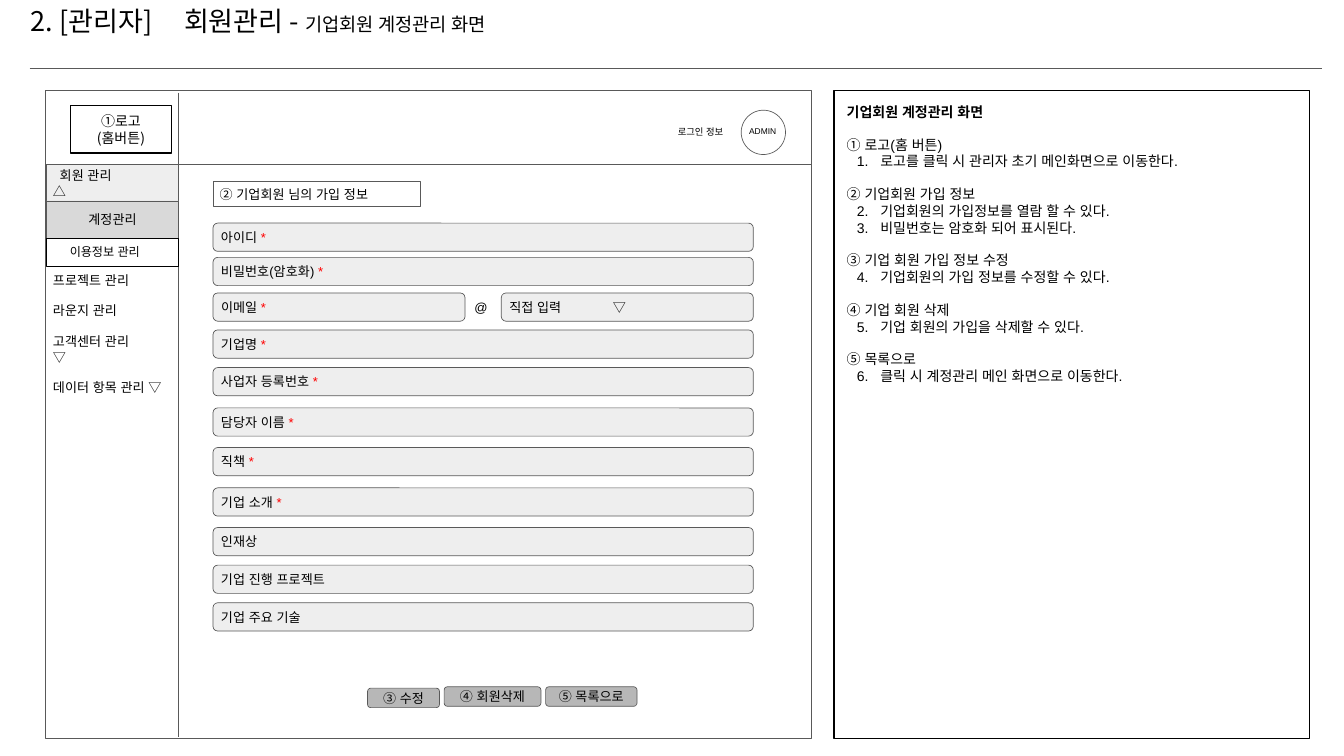
from dataclasses import dataclass

from lxml import etree
from pptx import Presentation
from pptx import util as u
from pptx.dml import color
from pptx.enum import shapes, text
from pptx.oxml import ns


@dataclass(frozen=True)
class Theme:
    ink: str = "000000"
    white: str = "FFFFFF"
    rule: str = "595959"
    required: str = "FF0000"
    field: str = "EEEEEE"
    active: str = "D9D9D9"
    button: str = "B7B7B7"
    sans: str = "Arial"
    korean: str = "Noto Sans CJK KR"
    title: int = 29
    subtitle: int = 20
    note: int = 15
    body: int = 14
    submenu: int = 13
    login: int = 10
    badge: int = 9


THEME = Theme()
RECT = shapes.MSO_SHAPE.RECTANGLE
ROUNDED = shapes.MSO_SHAPE.ROUNDED_RECTANGLE
OVAL = shapes.MSO_SHAPE.OVAL
MIDDLE = text.MSO_ANCHOR.MIDDLE
CENTER = text.PP_ALIGN.CENTER

FIELDS = [
    (3.32, "아이디", True), (3.83, "비밀번호(암호화)", True),
    (4.91, "기업명", True), (5.47, "사업자 등록번호", True),
    (6.07, "담당자 이름", True), (6.66, "직책", True),
    (7.26, "기업 소개", True), (7.85, "인재상", False),
    (8.41, "기업 진행 프로젝트", False), (8.97, "기업 주요 기술", False),
]
BUTTONS = [
    (5.47, 10.24, 1.07, "③ 수정"),
    (6.61, 10.22, 1.44, "④ 회원삭제"),
    (8.12, 10.22, 1.36, "⑤ 목록으로"),
]
NOTES = [
    ("① 로고(홈 버튼)", ["로고를 클릭 시 관리자 초기 메인화면으로 이동한다."]),
    ("② 기업회원 가입 정보", ["기업회원의 가입정보를 열람 할 수 있다.",
                      "비밀번호는 암호화 되어 표시된다."]),
    ("③ 기업 회원 가입 정보 수정", ["기업회원의 가입 정보를 수정할 수 있다."]),
    ("④ 기업 회원 삭제", ["기업 회원의 가입을 삭제할 수 있다."]),
    ("⑤ 목록으로", ["클릭 시 계정관리 메인 화면으로 이동한다."]),
]
MENU = ["프로젝트 관리", "라운지 관리", "고객센터 관리\v▽", "데이터 항목 관리 ▽"]


def rgb(value):
    return color.RGBColor.from_string(value)


def add_run(paragraph, content, size=THEME.body, font=THEME.sans, ink=THEME.ink, bold=False):
    for index, line in enumerate(content.split("\v")):
        if index:
            paragraph.add_line_break()
        run = paragraph.add_run()
        run.text = line
        run.font.size = u.Pt(size)
        run.font.bold = bold
        run.font.color.rgb = rgb(ink)
        run.font.name = font
        etree.SubElement(run.font._element, ns.qn("a:ea"), typeface=font)


def write(frame, content, align=text.PP_ALIGN.LEFT, before=0, indent=0, tab=None,
          number=None, **style):
    first = frame.paragraphs[0]
    paragraph = frame.add_paragraph() if first.runs else first
    paragraph.alignment = align
    properties = paragraph._p.get_or_add_pPr()
    if number:
        properties.set("marL", str(u.Inches(0.5)))
        properties.set("indent", str(u.Inches(-0.35)))
        etree.SubElement(properties, ns.qn("a:buAutoNum"), type="arabicPeriod", startAt=str(number))
    elif indent:
        properties.set("indent", str(u.Inches(indent)))
    if tab:
        stops = etree.SubElement(properties, ns.qn("a:tabLst"))
        etree.SubElement(stops, ns.qn("a:tab"), pos=str(u.Inches(tab)), algn="l")
    if before:
        paragraph.space_before = u.Pt(before)
    add_run(paragraph, content, **style)
    return paragraph


def set_frame(frame, inset=0.1, anchor=text.MSO_ANCHOR.TOP):
    frame.word_wrap = True
    frame.vertical_anchor = anchor
    frame.margin_left = frame.margin_right = u.Inches(inset)
    frame.margin_top = frame.margin_bottom = u.Inches(inset)
    return frame


def add_box(slide, kind, left, top, width, height, fill=None, line=THEME.rule,
            weight=0.75, inset=0.1, anchor=MIDDLE):
    box = slide.shapes.add_shape(kind, *map(u.Inches, (left, top, width, height)))
    box.shadow.inherit = False
    if fill:
        box.fill.solid()
        box.fill.fore_color.rgb = rgb(fill)
    else:
        box.fill.background()
    box.line.color.rgb = rgb(line)
    box.line.width = u.Pt(weight)
    return set_frame(box.text_frame, inset, anchor)


def add_label(slide, left, top, width, height, **frame):
    label = slide.shapes.add_textbox(*map(u.Inches, (left, top, width, height)))
    return set_frame(label.text_frame, **frame)


def add_rule(slide, x1, y1, x2, y2):
    rule = slide.shapes.add_connector(shapes.MSO_CONNECTOR.STRAIGHT,
                                      *map(u.Inches, (x1, y1, x2, y2)))
    rule.line.color.rgb = rgb(THEME.rule)
    rule.line.width = u.Pt(0.75)
    etree.SubElement(rule._element.spPr, ns.qn("a:effectLst"))


def add_field(slide, left, top, width, label, required=False, tab=None):
    field = add_box(slide, ROUNDED, left, top, width, 0.42, fill=THEME.field)
    paragraph = write(field, f"{label} " if required else label, tab=tab)
    if required:
        add_run(paragraph, "*", ink=THEME.required)


def add_title(slide):
    title = add_label(slide, 0, 0, 20, 0.62, inset=0, anchor=MIDDLE)
    title.margin_left = u.Inches(0.46)
    heading = write(title, "2. [관리자]\t회원관리 - ", tab=2.28,
                    size=THEME.title, font=THEME.korean)
    add_run(heading, "기업회원 계정관리 화면", size=THEME.subtitle, font=THEME.korean)
    add_rule(slide, 0.44, 1.01, 19.68, 1.01)


def add_notes_panel(slide):
    panel = add_box(slide, RECT, 12.41, 1.35, 7.08, 9.64, line=THEME.ink, weight=1.5,
                    inset=0.19, anchor=text.MSO_ANCHOR.TOP)
    write(panel, "기업회원 계정관리 화면", size=THEME.note, bold=True)
    number = 0
    for heading, details in NOTES:
        write(panel, heading, before=17, size=THEME.note)
        for detail in details:
            number += 1
            write(panel, detail, number=number, size=THEME.note)


def add_header(slide):
    home = add_box(slide, RECT, 1.05, 1.57, 1.5, 0.71, fill=THEME.white,
                   line=THEME.ink, weight=1.5, anchor=text.MSO_ANCHOR.TOP)
    for line in ("①로고", "(홈버튼)"):
        write(home, line, align=CENTER, size=THEME.note, font=THEME.korean)
    add_rule(slide, 2.65, 1.38, 2.65, 10.97)
    add_rule(slide, 0.67, 2.45, 12.09, 2.45)
    add_box(slide, OVAL, 11.03, 1.64, 0.66, 0.66)
    write(add_label(slide, 9.99, 1.8, 1.22, 0.37), "로그인 정보", size=THEME.login)
    write(add_label(slide, 11.05, 1.8, 1.13, 0.35), "ADMIN", size=THEME.badge)


def add_sidebar(slide):
    menu = add_label(slide, 0.69, 3.95, 1.97, 2.32)
    for index, item in enumerate(MENU):
        write(menu, item, before=16 if index else 0)
    members = add_box(slide, RECT, 0.69, 2.45, 1.97, 0.56, fill=THEME.field)
    write(members, "회원 관리\v△", indent=0.1)
    accounts = add_box(slide, RECT, 0.69, 2.99, 1.97, 0.56, fill=THEME.active)
    write(accounts, "계정관리", align=CENTER)
    usage = add_box(slide, RECT, 0.69, 3.54, 1.97, 0.42, line=THEME.ink,
                    anchor=text.MSO_ANCHOR.TOP)
    write(usage, "이용정보 관리", indent=0.25, size=THEME.submenu)


def add_form(slide):
    write(add_box(slide, RECT, 3.17, 2.7, 3.08, 0.37), "② 기업회원 님의 가입 정보")
    for top, label, required in FIELDS:
        add_field(slide, 3.17, top, 8.04, label, required)
    add_field(slide, 3.17, 4.36, 3.75, "이메일", True)
    write(add_label(slide, 6.96, 4.35, 0.46, 0.44), "@")
    add_field(slide, 7.46, 4.36, 3.75, "직접 입력\t▽", tab=1.54)
    for left, top, width, label in BUTTONS:
        button = add_box(slide, ROUNDED, left, top, width, 0.29, fill=THEME.button)
        write(button, label, align=CENTER)


def main():
    deck = Presentation()
    deck.slide_width, deck.slide_height = u.Inches(20), u.Inches(11.25)
    slide = deck.slides.add_slide(deck.slide_layouts[6])
    add_box(slide, RECT, 0.67, 1.35, 11.41, 9.64)
    add_notes_panel(slide)
    add_title(slide)
    add_header(slide)
    add_form(slide)
    add_sidebar(slide)
    deck.save("out.pptx")


if __name__ == "__main__":
    main()
